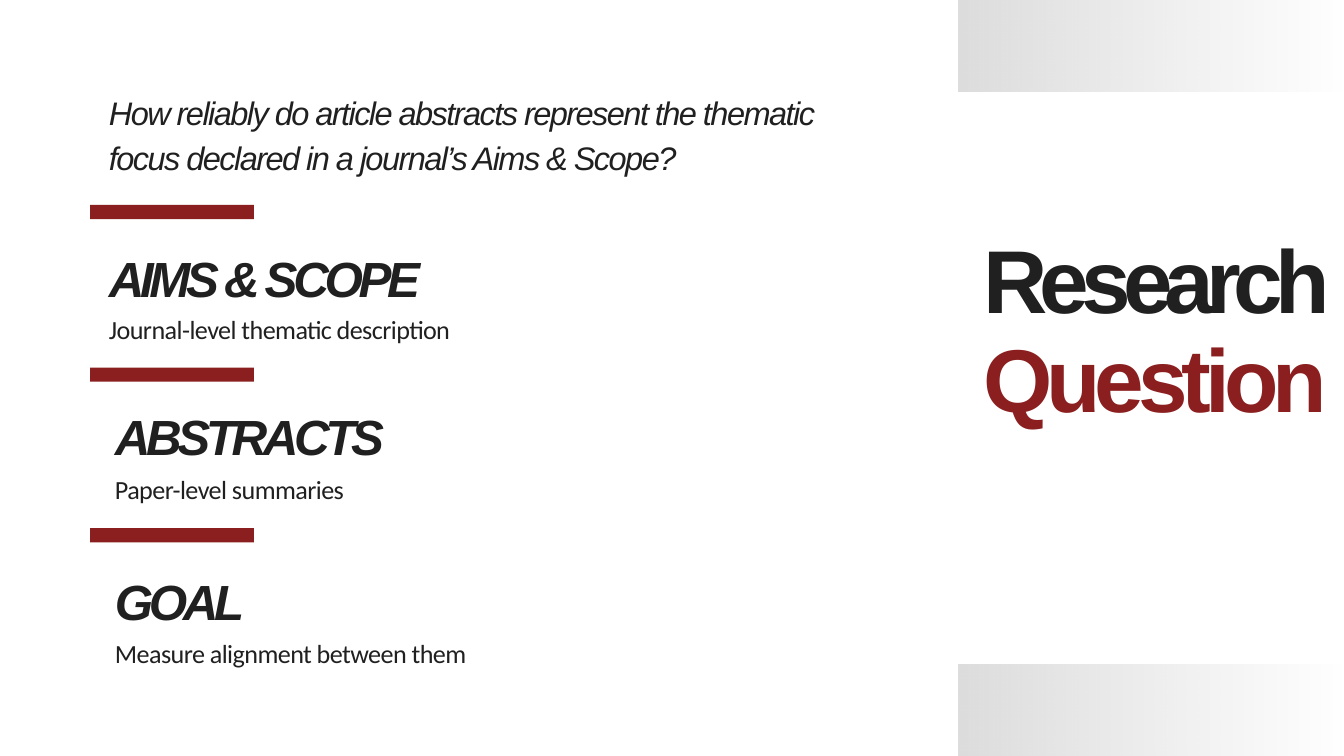
from lxml.etree import SubElement
from pptx import Presentation
from pptx.dml.color import RGBColor
from pptx.enum.shapes import MSO_SHAPE as Shape
from pptx.oxml.ns import qn
from pptx.util import Inches, Pt

INK = RGBColor(0x20, 0x20, 0x20)
RED = RGBColor(0x8B, 0x1E, 0x1E)
GREY = RGBColor(0xDD, 0xDD, 0xDD)

WIDE, HIGH = 20, 11.25
BAND_W, BAND_H = 5.74, 1.36
BAR_X, BAR_W, BAR_H = 1.34, 2.44, 0.21

# Style: font, size, line spacing, letter spacing, bold, italic
ASK = ("Arial", 34.9, 48.9, -1.7, False, True)
HEAD = ("Arial", 52.9, 63.4, -4.7, True, True)
NOTE = ("Calibri", 28, 39.2, -0.6, False, False)

QUERY = ("How reliably do article abstracts represent the thematic focus "
         "declared in a journal’s Aims & Scope?")
# Word, colour, letter spacing, top, width
TITLE = [
    ("Research", INK, -8.4, 3.34, 7.55),
    ("Question", RED, -6.5, 4.81, 6.82),
]
# Heading, note, left, bar top, heading top, note top
PARTS = [
    ("AIMS & SCOPE", "Journal-level thematic description", 1.62, 3.05, 3.69, 4.58),
    ("ABSTRACTS", "Paper-level summaries", 1.71, 5.47, 6.05, 6.96),
    ("GOAL", "Measure alignment between them", 1.71, 7.86, 8.5, 9.41),
]

deck = Presentation()
deck.slide_width, deck.slide_height = Inches(WIDE), Inches(HIGH)
slide = deck.slides.add_slide(deck.slide_layouts[6])


def add_rect(x, y, w, h):
    rect = slide.shapes.add_shape(
        Shape.RECTANGLE, Inches(x), Inches(y), Inches(w), Inches(h))
    rect.shadow.inherit = False
    rect.line.fill.background()
    return rect


def add_band(y):
    """Add a grey band that fades out towards the right edge."""
    fill = add_rect(WIDE - BAND_W, y, BAND_W, BAND_H).fill
    fill.gradient()
    fill.gradient_angle = 0
    for stop, place in zip(fill.gradient_stops, (0, 1)):
        stop.position = place
        stop.color.rgb = GREY
    last = list(fill._fill._gradFill.iter(qn("a:srgbClr")))[-1]
    SubElement(last, qn("a:alpha")).set("val", "0")


def add_bar(y):
    fill = add_rect(BAR_X, y, BAR_W, BAR_H).fill
    fill.solid()
    fill.fore_color.rgb = RED


def add_text(text, x, y, w, h, style, color=INK):
    face, size, lead, track, bold, slant = style
    frame = slide.shapes.add_textbox(
        Inches(x), Inches(y), Inches(w), Inches(h)).text_frame
    frame.word_wrap = True
    frame.margin_left = frame.margin_right = 0
    frame.margin_top = frame.margin_bottom = 0
    para = frame.paragraphs[0]
    para.line_spacing = Pt(lead)
    run = para.add_run()
    run.text = text
    font = run.font
    font.name, font.size = face, Pt(size)
    font.bold, font.italic = bold, slant
    font.color.rgb = color
    run._r.get_or_add_rPr().set("spc", str(round(track * 100)))


for y in (HIGH - BAND_H, 0):
    add_band(y)

for word, color, track, y, w in TITLE:
    add_text(word, 14.63, y, w, 1.74,
             ("Arial", 95.5, 114.6, track, True, False), color)

add_text(QUERY, 1.62, 1.28, 11.62, 1.33, ASK)

for head, note, x, bar_y, head_y, note_y in PARTS:
    add_bar(bar_y)
    add_text(head, x, head_y, 4.9, 0.96, HEAD)
    add_text(note, x, note_y, 6.39, 0.54, NOTE)

deck.save("out.pptx")
